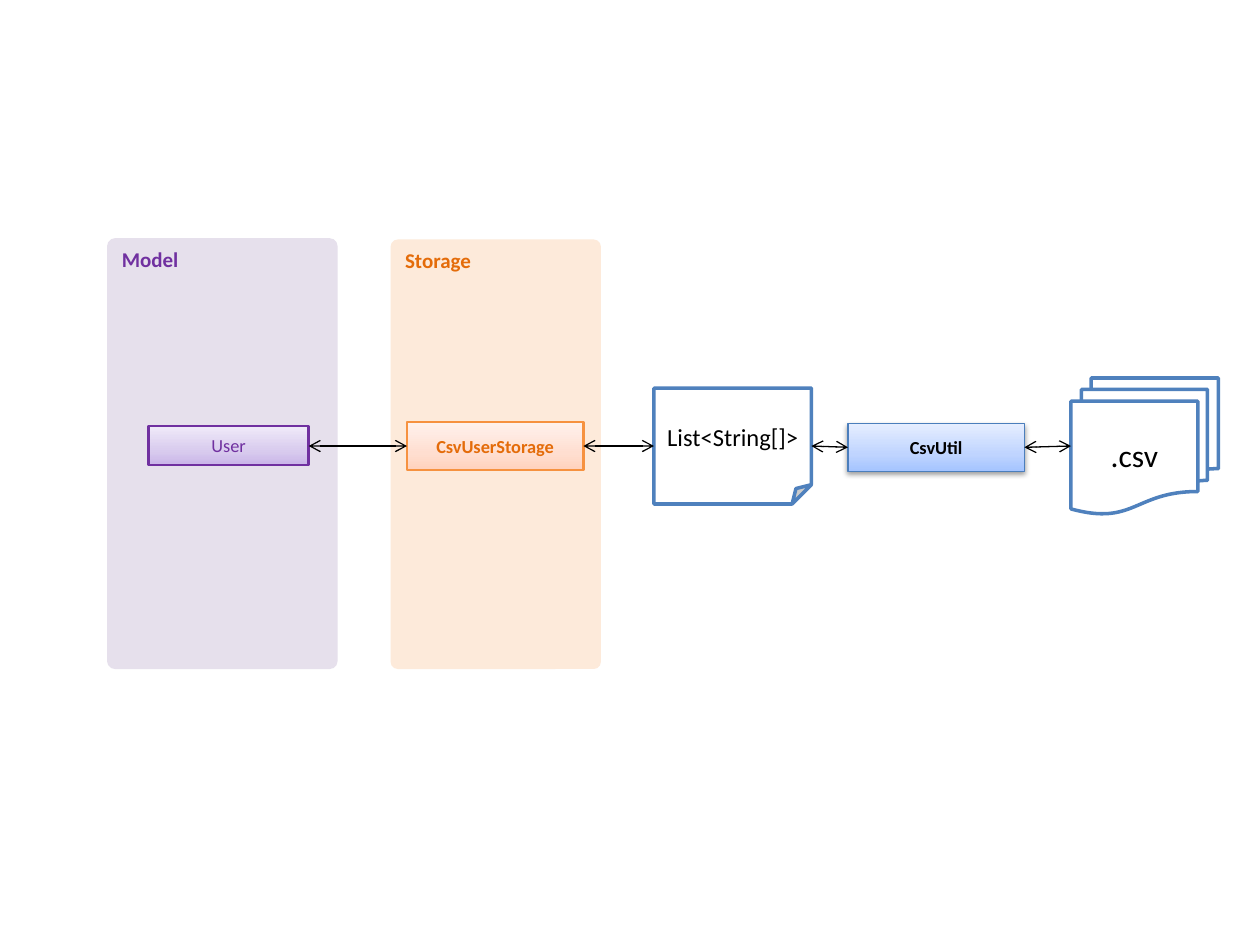
from copy import deepcopy

from lxml import etree
from pptx import Presentation
from pptx.dml.color import RGBColor
from pptx.enum import shapes, text
from pptx.oxml import ns
from pptx.util import Inches, Pt

BLACK = RGBColor(0, 0, 0)
WHITE = RGBColor(255, 255, 255)
BLUE = RGBColor(0x4F, 0x81, 0xBD)
STEEL = RGBColor(0x4B, 0x7E, 0xBC)
LILAC = RGBColor(0xE6, 0xE0, 0xEC)
PURPLE = RGBColor(0x70, 0x30, 0xA0)
PEACH = RGBColor(0xFD, 0xEA, 0xDA)
ORANGE = RGBColor(0xE4, 0x6C, 0x0A)
AMBER = RGBColor(0xF6, 0x92, 0x40)

# Gradient colours, from the bottom up
RAMP = (0, 0.35, 1)
PURPLES = [RGBColor.from_string(c) for c in ("C9B5E8", "D8CBEE", "F0EAF9")]
ORANGES = [RGBColor.from_string(c) for c in ("FFD2BD", "FFDED0", "FFF2ED")]
BLUES = [RGBColor.from_string(c) for c in ("A4C4FF", "BFD4FF", "E6EEFF")]

KIND = shapes.MSO_SHAPE
MID = dict(anchor=text.MSO_ANCHOR.MIDDLE, align=text.PP_ALIGN.CENTER, inset=0.05)
TOP = dict(anchor=text.MSO_ANCHOR.TOP, align=text.PP_ALIGN.LEFT, inset=0.1)


def child(parent, tag, **attrs):
    return etree.SubElement(parent, ns.qn(tag), attrs)


def paint(fill, colors):
    """Fill with one colour, or with a list of colours as a gradient."""
    if isinstance(colors, RGBColor):
        fill.solid()
        fill.fore_color.rgb = colors
        return
    fill.gradient()
    fill.gradient_angle = 90
    stops = fill._fill._gradFill.gsLst
    stops.append(deepcopy(stops[-1]))
    for stop, place, color in zip(fill.gradient_stops, RAMP, colors):
        stop.position = place
        stop.color.rgb = color


def write(shape, label, place, font):
    frame = shape.text_frame
    frame.word_wrap = True
    frame.vertical_anchor = place["anchor"]
    frame.margin_left = frame.margin_right = Inches(place["inset"])
    para = frame.paragraphs[0]
    para.alignment = place["align"]
    run = para.add_run()
    run.text = label
    run.font.color.rgb = font["color"]
    for name, value in dict(name="Calibri", size=Pt(font["size"]),
                            bold=font.get("bold", False)).items():
        setattr(run.font, name, value)


def block(slide, kind, box, label, fill, font, edge=None, width=0, place=MID):
    shape = slide.shapes.add_shape(kind, *map(Inches, box))
    shape.shadow.inherit = False
    paint(shape.fill, fill)
    if edge is None:
        shape.line.fill.background()
    else:
        shape.line.color.rgb = edge
        shape.line.width = Pt(width)
    write(shape, label, place, font)
    return shape


def panel(slide, box, title, back, color, node):
    """A titled region with one class box inside it."""
    area = block(slide, KIND.ROUNDED_RECTANGLE, box, title, back,
                 dict(size=12, color=color, bold=True), place=TOP)
    area.adjustments[0] = 0.035
    left, top, wide, high = node["box"]
    block(slide, KIND.RECTANGLE, (box[0] + left, box[1] + top, wide, high),
          node["label"], node["fill"],
          dict(size=10.5, color=color, bold=node["bold"]), node["edge"], 1.5)


def helper(slide, box):
    """The converter class, with a soft shadow below it."""
    shape = block(slide, KIND.RECTANGLE, box, "CsvUtil", BLUES,
                  dict(size=10.5, color=BLACK, bold=True), STEEL, 0.75)
    effects = shape._element.spPr.find(ns.qn("a:effectLst"))
    shade = child(effects, "a:outerShdw", blurRad=str(Pt(3.1)), dist=str(Pt(1.6)),
                  dir="5400000", rotWithShape="0")
    tone = child(shade, "a:srgbClr", val=str(BLACK))
    child(tone, "a:alpha", val="38000")


def arrow(slide, start, end):
    """A thin line with an open arrowhead at both ends."""
    line = slide.shapes.add_connector(shapes.MSO_CONNECTOR.STRAIGHT,
                                      *map(Inches, start + end))
    line.line.color.rgb = BLACK
    line.line.width = Pt(0.75)
    edge = line.line._get_or_add_ln()
    for tag in ("a:headEnd", "a:tailEnd"):
        child(edge, tag, type="arrow")
    child(line._element.spPr, "a:effectLst")


def main():
    deck = Presentation()
    deck.slide_width, deck.slide_height = Inches(10), Inches(7.5)
    slide = deck.slides.add_slide(deck.slide_layouts[6])

    # Component regions
    panel(slide, (0.85, 1.89, 1.83, 3.42), "Model", LILAC, PURPLE,
          dict(box=(0.33, 1.49, 1.27, 0.31), label="User", fill=PURPLES,
               edge=PURPLE, bold=False))
    panel(slide, (3.1, 1.9, 1.67, 3.41), "Storage", PEACH, ORANGE,
          dict(box=(0.13, 1.45, 1.4, 0.38), label="CsvUserStorage", fill=ORANGES,
               edge=AMBER, bold=True))

    # Files, converter and data list
    block(slide, KIND.FLOWCHART_MULTIDOCUMENT, (8.5, 3, 1.17, 1.08), ".csv",
          WHITE, dict(size=18, color=BLACK), BLUE, 2)
    helper(slide, (6.73, 3.36, 1.4, 0.38))
    block(slide, KIND.FOLDED_CORNER, (5.19, 3.08, 1.25, 0.92), "List<String[]>",
          WHITE, dict(size=14, color=BLACK), BLUE, 2)

    # Two-way links, left to right
    mid, low = 3.54, 3.55
    for x1, y1, x2, y2 in ((2.45, mid, 3.23, mid), (4.63, mid, 5.19, mid),
                           (6.44, mid, 6.73, low), (8.13, low, 8.5, mid)):
        arrow(slide, (x1, y1), (x2, y2))

    deck.save("out.pptx")


if __name__ == "__main__":
    main()
